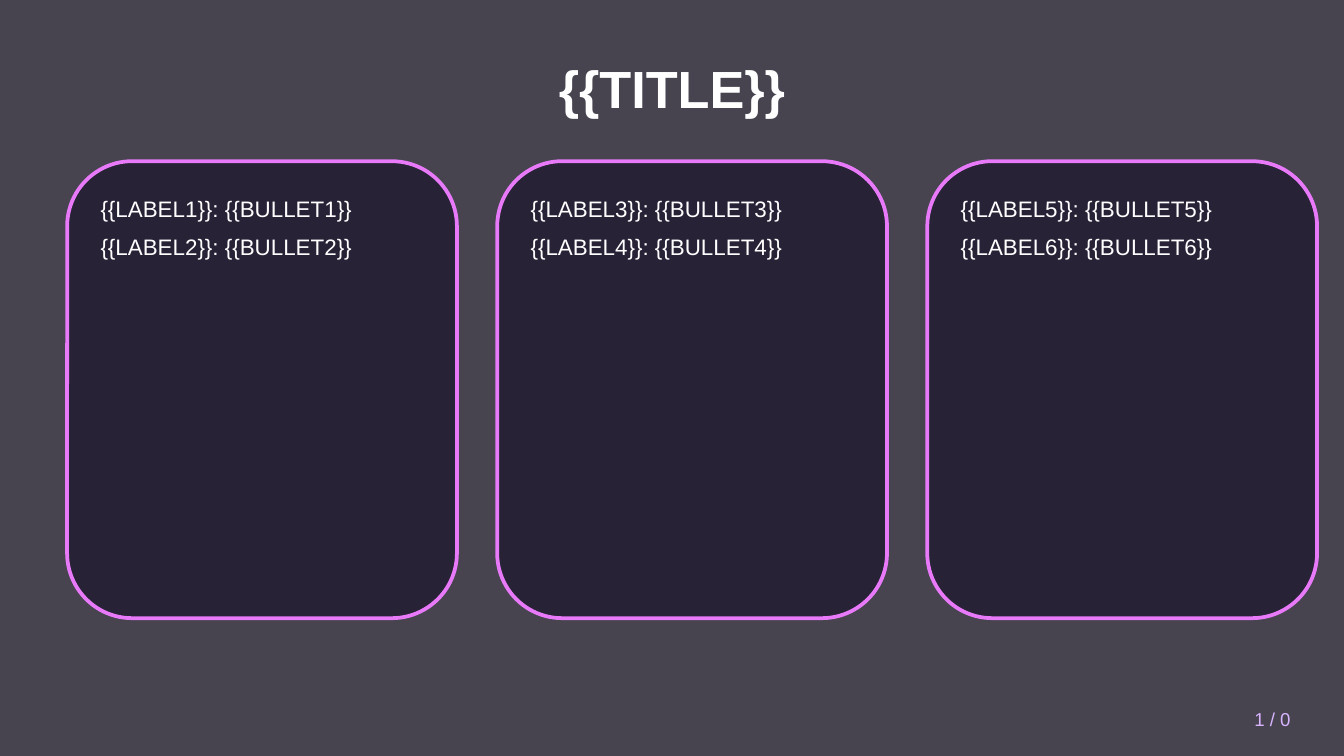
from dataclasses import dataclass

from lxml.etree import SubElement
from pptx import Presentation
from pptx.dml.color import RGBColor
from pptx.enum.shapes import MSO_SHAPE
from pptx.enum.text import MSO_ANCHOR, PP_ALIGN
from pptx.oxml.ns import qn
from pptx.util import Pt

SCALE = 4572  # EMU per px, 200 px to the inch
WIDE, HIGH = 2000, 1125


@dataclass(frozen=True)
class Theme:
    font: str = "Arial"
    back: str = "1A1625"
    card: str = "251F35"
    edge: str = "E879F9"
    text: str = "FFFFFF"
    page: str = "D8B4FE"
    head_size: int = 28
    body_size: int = 12
    page_size: int = 10
    edge_width: int = 2
    gap: int = 6


THEME = Theme()


def emu(box):
    return [side * SCALE for side in box]


def add_panel(slide, kind, box, color, alpha, edge=None):
    """Add a see-through filled shape; alpha is its opacity in percent."""
    panel = slide.shapes.add_shape(kind, *emu(box))
    panel.shadow.inherit = False
    panel.fill.solid()
    panel.fill.fore_color.rgb = RGBColor.from_string(color)
    tint = panel.fill._xPr.find(".//" + qn("a:srgbClr"))
    SubElement(tint, qn("a:alpha"), val=str(alpha * 1000))
    if edge:
        panel.line.color.rgb = RGBColor.from_string(edge)
        panel.line.width = Pt(THEME.edge_width)
    else:
        panel.line.fill.background()


def add_text(slide, box, lines, size, color, align=PP_ALIGN.LEFT,
             anchor=MSO_ANCHOR.TOP, bold=False, gap=0):
    frame = slide.shapes.add_textbox(*emu(box)).text_frame
    frame.word_wrap = True
    frame.vertical_anchor = anchor
    frame.text = "\n".join(lines)
    for para in frame.paragraphs:
        para.alignment = align
        para.space_after = Pt(gap)
        for run in para.runs:
            run.font.name = THEME.font
            run.font.size = Pt(size)
            run.font.bold = bold
            run.font.color.rgb = RGBColor.from_string(color)


def add_title(slide, box, text):
    add_text(slide, box, [text], THEME.head_size, THEME.text,
             PP_ALIGN.CENTER, MSO_ANCHOR.MIDDLE, bold=True)


def add_card(slide, box, lines):
    left, top, width, height = box
    add_panel(slide, MSO_SHAPE.ROUNDED_RECTANGLE, box, THEME.card, 90, THEME.edge)
    inner = (left + 30, top + 40, width - 60, height - 80)
    add_text(slide, inner, lines, THEME.body_size, THEME.text, gap=THEME.gap)


def add_row(slide, box, count, gap):
    """Fill the box with equal cards, two numbered lines in each."""
    left, top, width, height = box
    wide = (width - gap * (count - 1)) // count
    for i in range(count):
        lines = [f"{{{{LABEL{n}}}}}: {{{{BULLET{n}}}}}"
                 for n in (2 * i + 1, 2 * i + 2)]
        add_card(slide, (left + i * (wide + gap), top, wide, height), lines)


def add_page(slide, box, text):
    add_text(slide, box, [text], THEME.page_size, THEME.page,
             PP_ALIGN.RIGHT, MSO_ANCHOR.MIDDLE)


def main():
    deck = Presentation()
    deck.slide_width, deck.slide_height = emu((WIDE, HIGH))
    slide = deck.slides.add_slide(deck.slide_layouts[6])
    add_panel(slide, MSO_SHAPE.RECTANGLE, (0, 0, WIDE, HIGH), THEME.back, 80)
    add_title(slide, (100, 60, 1800, 140), "{{TITLE}}")
    add_row(slide, (100, 240, 1860, 680), count=3, gap=60)
    add_page(slide, (1700, 1040, 240, 60), "1 / 0")
    deck.save("out.pptx")


if __name__ == "__main__":
    main()
